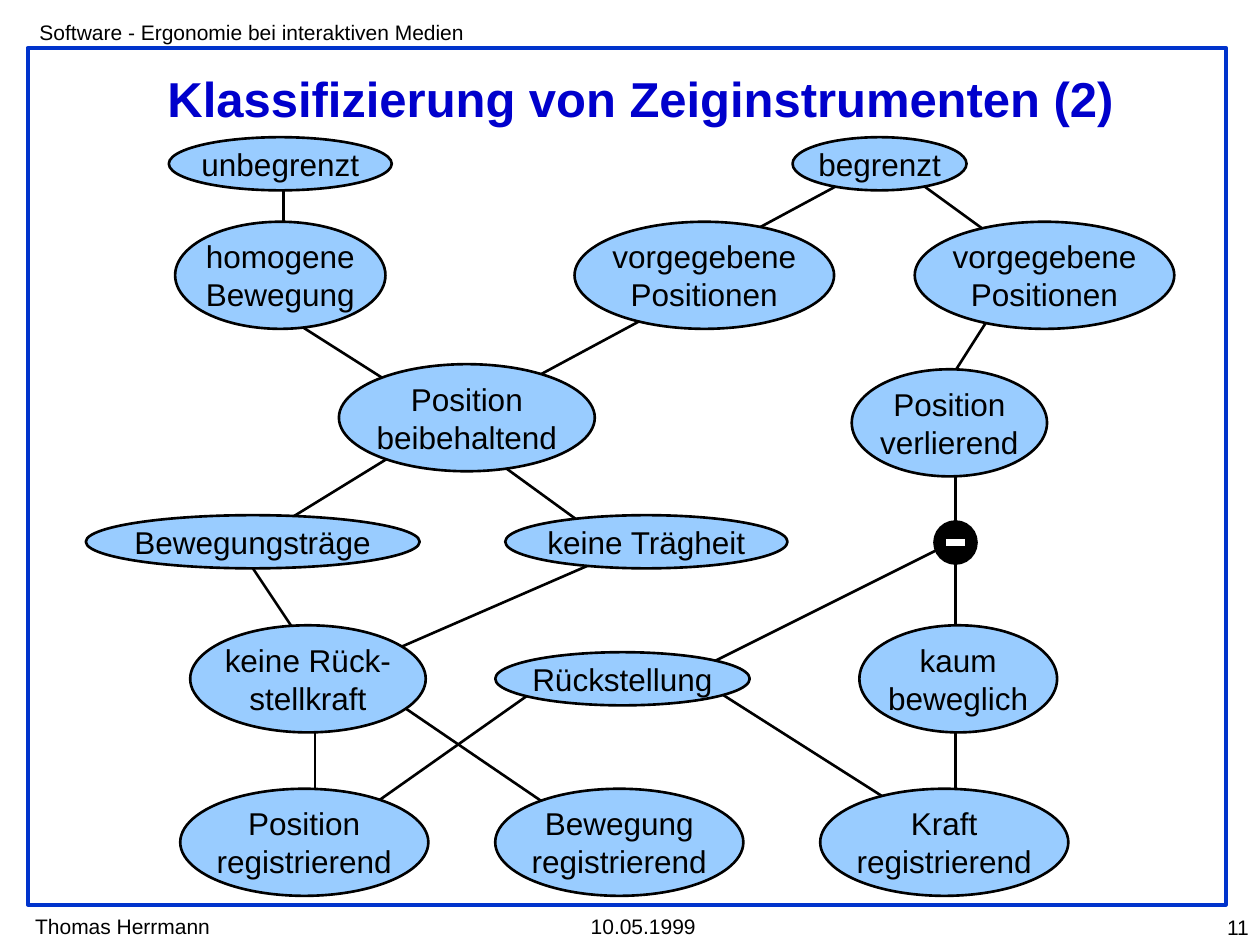
import pptx
import pptx.dml.color
import pptx.enum.shapes
import pptx.enum.text
import pptx.oxml.ns
import pptx.util
from lxml import etree

Pt = pptx.util.Pt
Align = pptx.enum.text.PP_ALIGN
Anchor = pptx.enum.text.MSO_ANCHOR
Shape = pptx.enum.shapes.MSO_SHAPE

COLORS = {
    "ink": "000000",
    "paper": "FFFFFF",
    "frame": "0033CC",
    "title": "0000CC",
    "node": "99CCFF",
}
NODE_HEIGHTS = {1: 30.4, 2: 61.2}

NODES = [
    (160.2, 93.6, 127.4, ["unbegrenzt"]),
    (502.6, 93.6, 99.4, ["begrenzt"]),
    (160.2, 157.3, 120.2, ["homogene", "Bewegung"]),
    (402.5, 157.3, 148.3, ["vorgegebene", "Positionen"]),
    (596.9, 157.3, 148.3, ["vorgegebene", "Positionen"]),
    (266.8, 238.7, 146.2, ["Position", "beibehaltend"]),
    (542.5, 241.6, 111.6, ["Position", "verlierend"]),
    (144.4, 309.6, 190.8, ["Bewegungsträge"]),
    (369.4, 309.6, 161.3, ["keine Trägheit"]),
    (176, 387.9, 134.6, ["keine Rück-", "stellkraft"]),
    (355.7, 387.9, 145.4, ["Rückstellung"]),
    (547.6, 387.9, 113, ["kaum", "beweglich"]),
    (173.9, 481.3, 141.8, ["Position", "registrierend"]),
    (353.9, 481.3, 141.8, ["Bewegung", "registrierend"]),
    (539.6, 481.3, 141.8, ["Kraft", "registrierend"]),
]

LINKS = [
    (162, 102, 162, 138),
    (486, 102, 408, 144),
    (522, 102, 588, 150),
    (162, 180, 228, 222),
    (372, 180, 294, 222),
    (570, 174, 528, 240),
    (546, 258, 546, 300),
    (546, 318, 546, 366),
    (546, 414, 546, 462),
    (402, 390, 534, 474),
    (312, 390, 210, 462),
    (180, 402, 180, 468),
    (210, 390, 342, 480),
    (150, 306, 228, 258),
    (276, 258, 342, 306),
    (540, 312, 396, 384),
    (144, 324, 180, 378),
    (348, 318, 210, 378),
]


class Sketch:
    font = "Arial"
    line_width = 1.5

    def __init__(self, page):
        self.page = page

    def color(self, name):
        return pptx.dml.color.RGBColor.from_string(COLORS[name])

    def add_lines(self, frame, lines, size, color="ink", bold=False, align=Align.LEFT):
        for index, line in enumerate(lines):
            para = frame.paragraphs[0] if index == 0 else frame.add_paragraph()
            para.alignment = align
            span = para.add_run()
            span.text = line
            span.font.name = self.font
            span.font.size = Pt(size)
            span.font.bold = bold
            span.font.color.rgb = self.color(color)

    def label(self, left, top, width, height, words, size=12, wrap=False,
              anchor=Anchor.TOP, **style):
        box = self.page.shapes.add_textbox(Pt(left), Pt(top), Pt(width), Pt(height))
        box.text_frame.word_wrap = wrap
        box.text_frame.vertical_anchor = anchor
        self.add_lines(box.text_frame, [words], size, **style)

    def shape(self, kind, left, top, width, height, fill=None, line="ink",
              line_width=line_width):
        shape = self.page.shapes.add_shape(
            kind, Pt(left), Pt(top), Pt(width), Pt(height))
        shape.shadow.inherit = False
        if fill:
            shape.fill.solid()
            shape.fill.fore_color.rgb = self.color(fill)
        else:
            shape.fill.background()
        shape.line.color.rgb = self.color(line)
        shape.line.width = Pt(line_width)
        return shape

    def node(self, center_x, center_y, width, lines):
        height = NODE_HEIGHTS[len(lines)]
        oval = self.shape(Shape.OVAL, center_x - width / 2, center_y - height / 2,
                          width, height, fill="node")
        frame = oval.text_frame
        frame.margin_left = frame.margin_right = 0
        frame.margin_top = frame.margin_bottom = 0
        frame.word_wrap = False
        frame.vertical_anchor = Anchor.MIDDLE
        self.add_lines(frame, lines, 18, align=Align.CENTER)

    def link(self, *ends):
        line = self.page.shapes.add_connector(
            pptx.enum.shapes.MSO_CONNECTOR.STRAIGHT, *map(Pt, ends))
        line.line.color.rgb = self.color("ink")
        line.line.width = Pt(self.line_width)
        etree.SubElement(line._element.spPr, pptx.oxml.ns.qn("a:effectLst"))


def main():
    deck = pptx.Presentation()
    deck.slide_width = Pt(720)
    deck.slide_height = Pt(540)
    sketch = Sketch(deck.slides.add_slide(deck.slide_layouts[6]))

    sketch.shape(Shape.RECTANGLE, 15.84, 27.36, 684.72, 489.6,
                 line="frame", line_width=2.25)
    sketch.label(13, 518.4, 114.5, 21.6, "Thomas Herrmann")
    sketch.label(15.5, 7.5, 266.4, 21.6,
                 "Software - Ergonomie bei interaktiven Medien", wrap=True)
    sketch.label(330.5, 518.4, 74.2, 21.6, "10.05.1999")
    sketch.label(651.6, 519, 69.1, 21.6, "11", align=Align.RIGHT)
    sketch.label(42, 36, 648, 40.3, "Klassifizierung von Zeiginstrumenten (2)",
                 size=28, wrap=True, anchor=Anchor.MIDDLE, color="title",
                 bold=True, align=Align.CENTER)

    sketch.shape(Shape.OVAL, 534, 298, 24, 24, fill="ink")
    sketch.shape(Shape.RECTANGLE, 540, 307, 12, 6, fill="paper")
    for link in LINKS:
        sketch.link(*link)
    for node in NODES:
        sketch.node(*node)

    deck.save("out.pptx")


if __name__ == "__main__":
    main()
